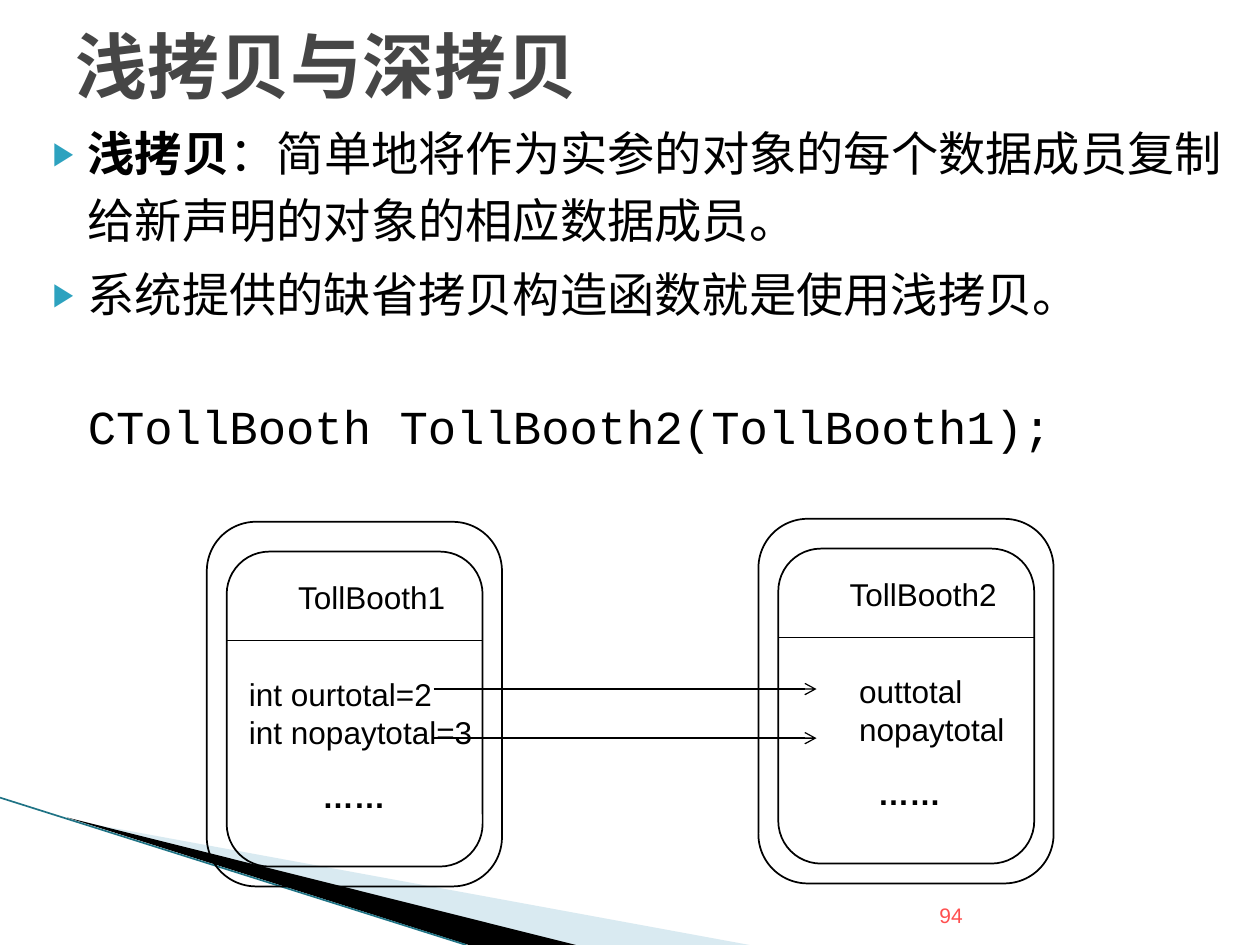
from lxml import etree
from pptx import Presentation
from pptx.dml.color import RGBColor
from pptx.enum.shapes import MSO_CONNECTOR, MSO_SHAPE
from pptx.enum.text import MSO_ANCHOR
from pptx.oxml.ns import qn
from pptx.util import Cm, Pt

STRAIGHT = MSO_CONNECTOR.STRAIGHT
ROUNDED = MSO_SHAPE.ROUNDED_RECTANGLE
TOP, MIDDLE, BOTTOM = MSO_ANCHOR.TOP, MSO_ANCHOR.MIDDLE, MSO_ANCHOR.BOTTOM

CJK, MONO, SANS = "Noto Sans CJK SC", "Courier New", "Arial"
THEME = {
    "ink": "000000", "bullet": "2DA2BF", "pale": "A0CBDC", "edge": "1F7385",
    "title": {"size": 41, "font": MONO, "color": "464646", "bold": True},
    "body": {"size": 27, "font": CJK, "color": "000000"},
    "strong": {"size": 27, "font": CJK, "color": "000000", "bold": True},
    "code": {"size": 27, "font": MONO, "color": "000000"},
    "label": {"size": 18, "font": SANS, "color": "000000"},
    "dots": {"size": 18, "font": SANS, "color": "000000", "bold": True},
    "number": {"size": 12, "font": SANS, "color": "FF5050"},
}

# Content; all lengths in centimetres
TITLE = "浅拷贝与深拷贝"
BULLETS = [
    [("浅拷贝", "strong"),
     ("：简单地将作为实参的对象的每个数据成员复制给新声明的对象的相应数据成员。", "body")],
    [("系统提供的缺省拷贝构造函数就是使用浅拷贝。", "body")],
]
CODE = "CTollBooth TollBooth2(TollBooth1);"
PAGE = "94"
BOOTHS = [
    {"name": "TollBooth1", "members": ["int ourtotal=2", "int nopaytotal=3"],
     "at": (4.17, 10.52), "members_dx": 0.6, "members_w": 5.05, "dots_dx": 2.08},
    {"name": "TollBooth2", "members": ["outtotal", "nopaytotal"],
     "at": (15.29, 10.46), "members_dx": 1.78, "members_w": 3.48, "dots_dx": 2.16},
]
ARROWS_Y = (13.89, 14.88)
ARROW_X = (8.74, 16.46)
SWOOSHES = [
    ([(1.4, 16.53), (15.11, 19.05), (11.58, 19.05)], "pale", 40),
    ([(1.35, 16.48), (11.61, 19.05), (9.45, 19.05)], "ink", 100),
]


def rgb(value):
    return RGBColor.from_string(value)


def add_run(p, text, style):
    fmt = THEME[style]
    r = p.add_run()
    r.text = text
    values = {"size": Pt(fmt["size"]), "name": fmt["font"], "bold": fmt.get("bold", False)}
    for key, value in values.items():
        setattr(r.font, key, value)
    r.font.color.rgb = rgb(fmt["color"])
    east_asian = CJK if fmt["font"] == MONO else fmt["font"]
    etree.SubElement(r._r.get_or_add_rPr(), qn("a:ea"), typeface=east_asian)


def add_text(s, box, lines, style, anchor=TOP, wrap=True):
    tf = s.shapes.add_textbox(*map(Cm, box)).text_frame
    tf.word_wrap, tf.vertical_anchor = wrap, anchor
    for i, line in enumerate(lines):
        p = tf.paragraphs[0] if i == 0 else tf.add_paragraph()
        add_run(p, line, style)


def set_indent(p, left, first, bullet=False):
    pPr = p._p.get_or_add_pPr()
    pPr.set("marL", str(Cm(left)))
    pPr.set("indent", str(Cm(first)))
    if bullet:
        color = etree.SubElement(pPr, qn("a:buClr"))
        etree.SubElement(color, qn("a:srgbClr"), val=THEME["bullet"])
        etree.SubElement(pPr, qn("a:buSzPct"), val="68000")
        etree.SubElement(pPr, qn("a:buFont"), typeface=SANS)
        etree.SubElement(pPr, qn("a:buChar"), char="▶")
    else:
        etree.SubElement(pPr, qn("a:buNone"))


def add_body(s):
    tf = s.shapes.add_textbox(Cm(0.5), Cm(2.18), Cm(24.9), Cm(15.8)).text_frame
    tf.word_wrap = True
    for i, runs in enumerate(BULLETS):
        p = tf.paragraphs[0] if i == 0 else tf.add_paragraph()
        p.line_spacing, p.space_before = Pt(38.3), Pt(4)
        set_indent(p, 1.02, -0.71, bullet=True)
        for text, style in runs:
            add_run(p, text, style)
    p = tf.add_paragraph()
    p.space_before = Pt(43)
    set_indent(p, 1.02, 0)
    add_run(p, CODE, "code")


def add_line(s, start, end, color="ink", width=0.75, arrow=False):
    line = s.shapes.add_connector(STRAIGHT, *map(Cm, start + end))
    line.line.color.rgb = rgb(THEME[color])
    line.line.width = Pt(width)
    if arrow:
        etree.SubElement(line.line._get_or_add_ln(), qn("a:tailEnd"), type="arrow")
    etree.SubElement(line._element.spPr, qn("a:effectLst"))


def add_swoosh(s, points, color, opacity):
    corners = [(Cm(x), Cm(y)) for x, y in points]
    builder = s.shapes.build_freeform(*corners[0])
    builder.add_line_segments(corners[1:], close=True)
    shape = builder.convert_to_shape()
    shape.shadow.inherit = False
    shape.fill.solid()
    shape.fill.fore_color.rgb = rgb(THEME[color])
    shape.line.fill.background()
    if opacity < 100:
        fill = shape._element.spPr.find(qn("a:solidFill"))
        etree.SubElement(fill[0], qn("a:alpha"), val=str(opacity * 1000))


def add_booth(s, booth):
    """Draw one object: nested frames, name, divider and data members."""
    x, y = booth["at"]
    for dx, dy, w, h in [(0, 0, 5.95, 7.35), (0.4, 0.6, 5.16, 6.35)]:
        frame = s.shapes.add_shape(ROUNDED, Cm(x + dx), Cm(y + dy), Cm(w), Cm(h))
        frame.shadow.inherit = False
        frame.fill.background()
        frame.line.color.rgb = rgb(THEME["ink"])
        frame.line.width = Pt(1)
    add_line(s, (x + 0.4, y + 2.39), (x + 5.56, y + 2.39))
    texts = [
        ((1.59, 1, 3.5, 1.02), [booth["name"]], "label"),
        ((booth["members_dx"], 2.97, booth["members_w"], 1.8), booth["members"], "label"),
        ((booth["dots_dx"], 5.02, 1.8, 1.02), ["……"], "dots"),
    ]
    for (dx, dy, w, h), lines, style in texts:
        add_text(s, (x + dx, y + dy, w, h), lines, style, wrap=False)


def main():
    prs = Presentation()
    prs.slide_width, prs.slide_height = Cm(25.4), Cm(19.05)
    s = prs.slides.add_slide(prs.slide_layouts[6])
    for swoosh in SWOOSHES:
        add_swoosh(s, *swoosh)
    add_line(s, (0, 16.08), (9.4, 19.05), "edge", 0.95)
    add_text(s, (1.27, -0.28, 22.86, 3.18), [TITLE], "title", MIDDLE)
    add_body(s)
    add_text(s, (18.69, 17.81, 5.33, 1.02), [PAGE], "number", BOTTOM)
    for booth in BOOTHS:
        add_booth(s, booth)
    for y in ARROWS_Y:
        add_line(s, (ARROW_X[0], y), (ARROW_X[1], y), arrow=True)
    prs.save("out.pptx")


if __name__ == "__main__":
    main()
